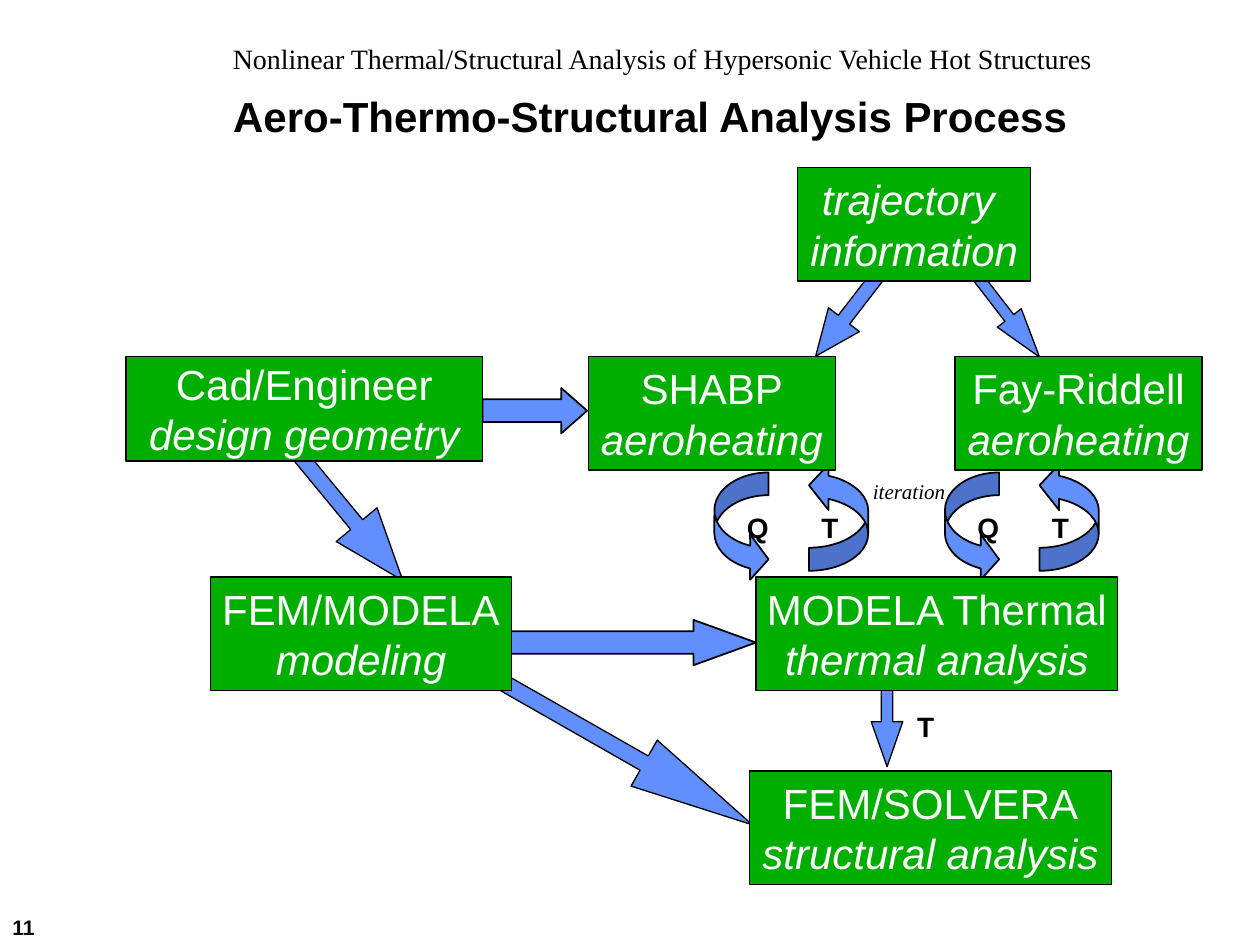
from dataclasses import dataclass

from pptx import Presentation
from pptx.dml.color import RGBColor
from pptx.enum import shapes, text
from pptx.util import Inches, Pt


@dataclass(frozen=True)
class Theme:
    ink: RGBColor = RGBColor(0, 0, 0)
    box: RGBColor = RGBColor(0x00, 0xAE, 0x00)
    box_text: RGBColor = RGBColor(255, 255, 255)
    arrow: RGBColor = RGBColor(0x61, 0x8F, 0xFD)
    sans: str = "Arial"
    serif: str = "Times New Roman"
    large: int = 24
    medium: int = 16
    small: int = 12
    thin: float = 0.75
    thick: float = 1


@dataclass(frozen=True)
class Box:
    """A process step: tool on the first line, task on the second."""
    left: float
    top: float
    width: float
    name: str
    task: str
    height: float = 0.9
    name_italic: bool = False


@dataclass(frozen=True)
class Arrow:
    left: float
    top: float
    width: float
    height: float
    adjust: tuple[float, ...]
    rotation: float = 0
    line: float = 0.75
    kind: shapes.MSO_SHAPE = shapes.MSO_SHAPE.RIGHT_ARROW


@dataclass(frozen=True)
class Label:
    left: float
    top: float
    width: float
    height: float
    words: str
    size: int
    font: str
    bold: bool = False
    italic: bool = False
    anchor: text.MSO_ANCHOR = text.MSO_ANCHOR.TOP


THEME = Theme()
MIDDLE = text.MSO_ANCHOR.MIDDLE
CURVED = shapes.MSO_SHAPE.CURVED_RIGHT_ARROW

BOXES = [
    Box(5.95, 6.12, 2.87, "FEM/SOLVERA", "structural analysis"),
    Box(1, 2.83, 2.83, "Cad/Engineer", "design geometry", height=0.83),
    Box(6, 4.58, 2.87, "MODELA Thermal", "thermal analysis"),
    Box(1.67, 4.58, 2.39, "FEM/MODELA", "modeling"),
    Box(4.67, 2.83, 1.96, "SHABP", "aeroheating"),
    Box(6.33, 1.33, 1.85, "trajectory ", "information", name_italic=True),
    Box(7.58, 2.83, 1.96, "Fay-Riddell", "aeroheating"),
]

ARROWS = [
    Arrow(1.97, 3.82, 1.5, 0.42, (0.293, 1.371), 50.5),
    Arrow(3.83, 3.08, 0.83, 0.36, (0.5, 0.57), line=THEME.thick),
    Arrow(6.32, 2.36, 0.79, 0.31, (0.366, 1.185), 127.7),
    Arrow(7.59, 2.39, 0.82, 0.24, (0.366, 1.635), 52.3),
    Arrow(4, 4.92, 2, 0.36, (0.5, 1.377), line=THEME.thick),
    Arrow(3.42, 5.66, 2.73, 0.42, (0.311, 2.352), 29.7),
    Arrow(6.66, 5.58, 0.76, 0.25, (0.366, 1.428), 89.9),
]

CYCLE_LEFTS = (5.67, 7.5)


def style(p, size: int, font: str, color: RGBColor,
          bold: bool = False, italic: bool = False) -> None:
    f = p.font
    f.size, f.name, f.bold, f.italic = Pt(size), font, bold, italic
    f.color.rgb = color


def add_shape(s, kind, left: float, top: float, width: float, height: float,
              fill: RGBColor, line: float):
    sp = s.shapes.add_shape(kind, Inches(left), Inches(top),
                            Inches(width), Inches(height))
    sp.shadow.inherit = False
    sp.fill.solid()
    sp.fill.fore_color.rgb = fill
    sp.line.color.rgb = THEME.ink
    sp.line.width = Pt(line)
    return sp


def draw_arrow(s, a: Arrow) -> None:
    sp = add_shape(s, a.kind, a.left, a.top, a.width, a.height,
                   THEME.arrow, a.line)
    for i, value in enumerate(a.adjust):
        sp.adjustments[i] = value
    sp.rotation = a.rotation


def draw_box(s, b: Box) -> None:
    sp = add_shape(s, shapes.MSO_SHAPE.RECTANGLE, b.left, b.top, b.width,
                   b.height, THEME.box, THEME.thin)
    tf = sp.text_frame
    tf.word_wrap = False
    tf.vertical_anchor = MIDDLE
    tf.text = f"{b.name}\n{b.task}"
    for p, italic in zip(tf.paragraphs, (b.name_italic, True)):
        p.alignment = text.PP_ALIGN.CENTER
        style(p, THEME.large, THEME.sans, THEME.box_text, italic=italic)


def draw_label(s, lb: Label) -> None:
    tb = s.shapes.add_textbox(Inches(lb.left), Inches(lb.top),
                              Inches(lb.width), Inches(lb.height))
    tf = tb.text_frame
    tf.word_wrap = True
    tf.vertical_anchor = lb.anchor
    tf.text = lb.words
    style(tf.paragraphs[0], lb.size, lb.font, THEME.ink, lb.bold, lb.italic)


def draw_symbol(s, left: float, top: float, letter: str) -> None:
    draw_label(s, Label(left, top, 0.33, 0.37, letter, THEME.medium,
                        THEME.sans, bold=True))


def draw_cycle(s, left: float) -> None:
    """Heat flux Q goes down, temperature T comes back up."""
    draw_arrow(s, Arrow(left, 3.75, 0.43, 0.87, (0.42, 0.84, 0.34),
                        line=THEME.thick, kind=CURVED))
    draw_arrow(s, Arrow(left + 0.75, 3.67, 0.47, 0.86, (0.39, 0.77, 0.33),
                        180, THEME.thick, CURVED))
    draw_symbol(s, left + 0.75, 4, "T")
    draw_symbol(s, left + 0.16, 4, "Q")


def set_title(s, words: str) -> None:
    sp = s.shapes.title
    sp.left, sp.top = Inches(1.75), Inches(0.67)
    sp.width, sp.height = Inches(7.5), Inches(0.5)
    tf = sp.text_frame
    tf.text = words
    tf.auto_size = text.MSO_AUTO_SIZE.NONE
    tf.vertical_anchor = MIDDLE
    p = tf.paragraphs[0]
    p.alignment = text.PP_ALIGN.LEFT
    style(p, THEME.large, THEME.sans, THEME.ink, bold=True)


def main() -> None:
    prs = Presentation()
    prs.slide_width, prs.slide_height = Inches(10), Inches(7.5)
    s = prs.slides.add_slide(prs.slide_layouts[5])

    # Heading
    set_title(s, "Aero-Thermo-Structural Analysis Process")
    draw_label(s, Label(
        1.75, 0.28, 7.5, 0.36,
        "Nonlinear Thermal/Structural Analysis of Hypersonic Vehicle Hot Structures",
        THEME.medium, THEME.serif, anchor=MIDDLE))

    # Flow arrows and iteration cycles lie behind the boxes
    for arrow in ARROWS:
        draw_arrow(s, arrow)
    for left in CYCLE_LEFTS:
        draw_cycle(s, left)
    for box in BOXES:
        draw_box(s, box)

    # Notes on the flow and page number
    draw_label(s, Label(6.83, 3.75, 0.83, 0.3, "iteration", THEME.small,
                        THEME.serif, italic=True))
    draw_symbol(s, 7.18, 5.58, "T")
    draw_label(s, Label(0, 7.22, 1.63, 0.28, "11", THEME.small, THEME.sans,
                        bold=True, anchor=MIDDLE))

    prs.save("out.pptx")


if __name__ == "__main__":
    main()
